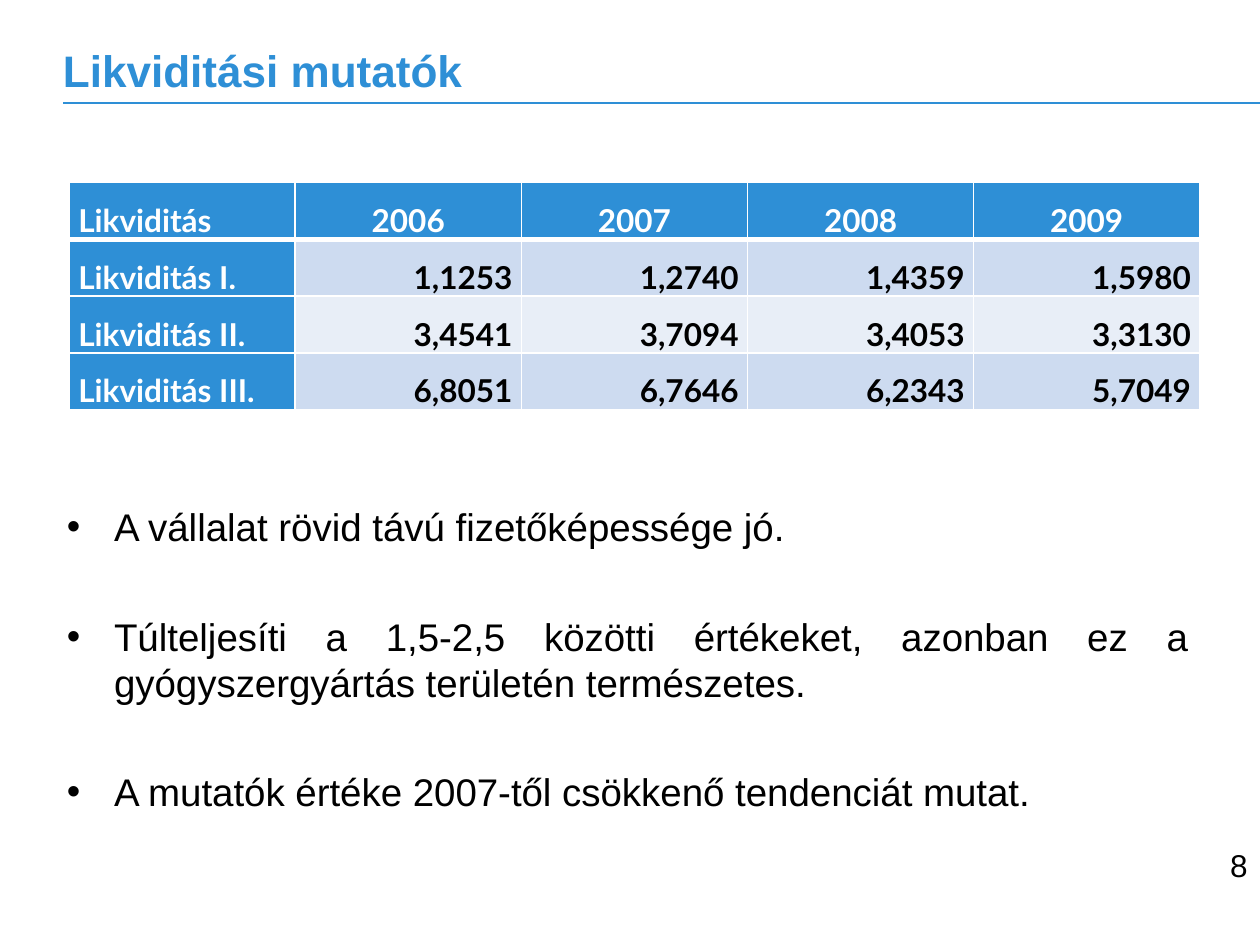
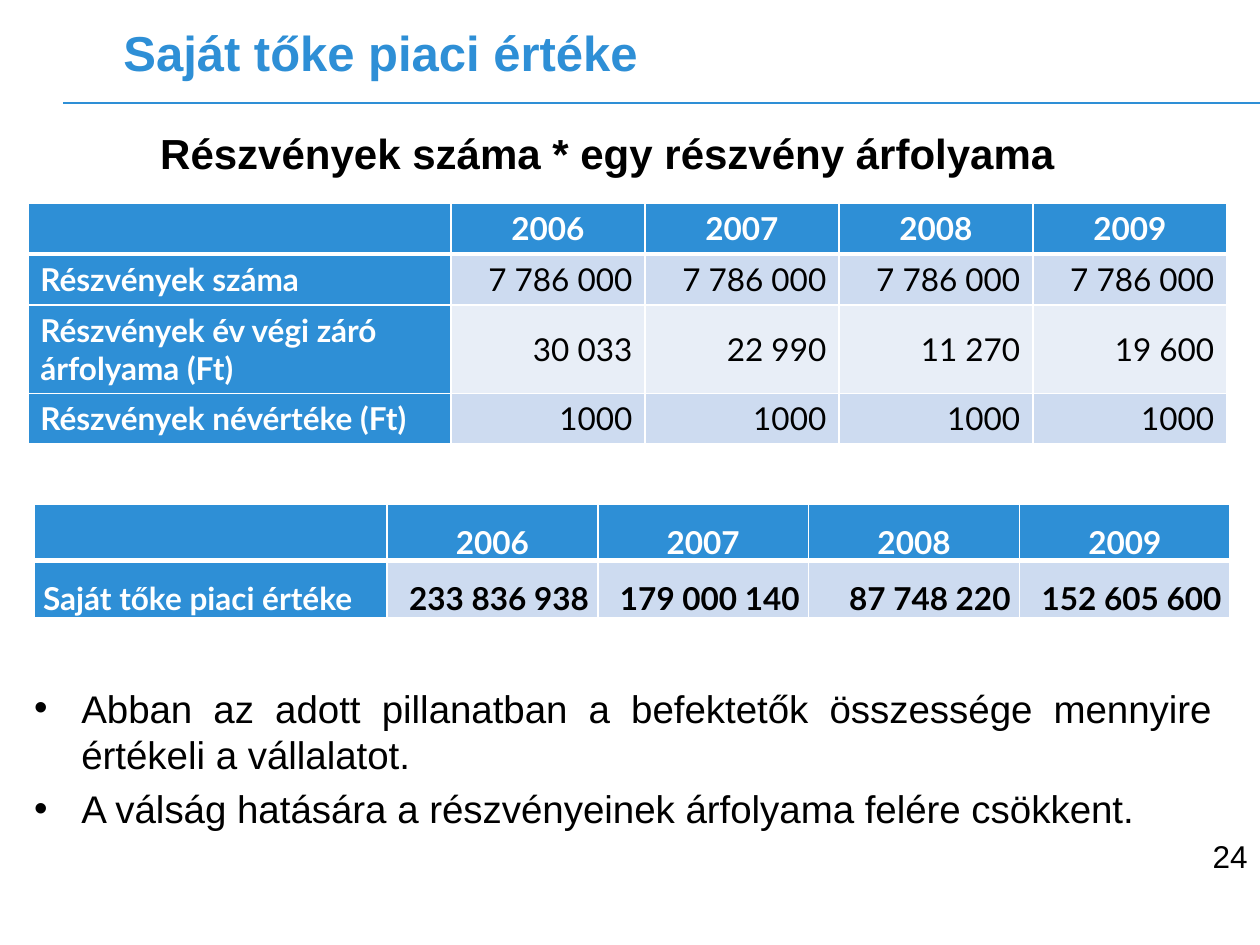
from dataclasses import dataclass

from lxml import etree
from pptx import Presentation
from pptx.dml.color import RGBColor
from pptx.enum.shapes import MSO_CONNECTOR
from pptx.enum.text import MSO_ANCHOR, PP_ALIGN
from pptx.oxml.ns import qn
from pptx.util import Cm, Pt

LEFT, MID, RIGHT, JUST = PP_ALIGN.LEFT, PP_ALIGN.CENTER, PP_ALIGN.RIGHT, PP_ALIGN.JUSTIFY
TOP, MIDDLE = MSO_ANCHOR.TOP, MSO_ANCHOR.MIDDLE
STRAIGHT = MSO_CONNECTOR.STRAIGHT


@dataclass(frozen=True)
class Theme:
    blue: str = "2E8FD6"
    dark: str = "CDDBF0"
    light: str = "E8EEF7"
    white: str = "FFFFFF"
    black: str = "000000"
    font: str = "Arial"
    grid: str = "Lato"
    lead: float = 24
    body: float = 22
    small: float = 18
    thin: float = 1
    rule: float = 1.5
    thick: float = 3


THEME = Theme()
YEARS = ["2006", "2007", "2008", "2009"]


def style(par, size, color, bold=False, font=THEME.font):
    for run in par.runs:
        run.font.name = font
        run.font.size = Pt(size)
        run.font.bold = bold
        run.font.color.rgb = RGBColor.from_string(color)


def add_frame(slide, box, anchor=TOP, inset=(0, 0, 0, 0)):
    frame = slide.shapes.add_textbox(*map(Cm, box)).text_frame
    frame.word_wrap = True
    frame.vertical_anchor = anchor
    (frame.margin_left, frame.margin_top,
     frame.margin_right, frame.margin_bottom) = map(Cm, inset)
    return frame


def add_line(slide, box, text, size, color, bold=False, align=LEFT, **kind):
    """Add a text box that holds a single paragraph."""
    par = add_frame(slide, box, **kind).paragraphs[0]
    par.text = text
    par.alignment = align
    style(par, size, color, bold)


def add_base(deck, title, box, size, page, top):
    """Add a slide with its title, rule and page number."""
    slide = deck.slides.add_slide(deck.slide_layouts[6])
    rule = slide.shapes.add_connector(STRAIGHT, Cm(1.27), Cm(2.08), Cm(25.4), Cm(2.08))
    rule.line.color.rgb = RGBColor.from_string(THEME.blue)
    rule.line.width = Pt(THEME.rule)
    etree.SubElement(rule.element.spPr, qn("a:effectLst"))
    add_line(slide, box, title, size, THEME.blue, True, anchor=MIDDLE)
    add_line(slide, (19.48, top, 5.92, 0.8), page, THEME.small, THEME.black,
             align=RIGHT, inset=(0.25, 0.13, 0.25, 0.13))
    return slide


def add_list(slide, box, items, gap):
    """Add bullets; items are (text, alignment) pairs."""
    frame = add_frame(slide, box, inset=(0, 0, 0.25, 0.13))
    for i, (text, align) in enumerate(items):
        par = frame.add_paragraph() if i else frame.paragraphs[0]
        par.text = text
        par.alignment = align
        if i < len(items) - 1:
            par.space_after = Pt(gap)
        style(par, THEME.body, THEME.black)
        props = par._p.get_or_add_pPr()
        props.set("marL", str(Cm(0.95)))
        props.set("indent", str(-Cm(0.95)))
        etree.SubElement(props, qn("a:buFont"), typeface=THEME.font)
        etree.SubElement(props, qn("a:buChar"), char="•")


def add_edges(cell, top, bottom):
    props = cell._tc.get_or_add_tcPr()
    widths = {"lnL": THEME.thin, "lnR": THEME.thin, "lnT": top, "lnB": bottom}
    for i, (tag, width) in enumerate(widths.items()):
        edge = etree.Element(qn("a:" + tag), w=str(Pt(width)))
        fill = etree.SubElement(edge, qn("a:solidFill"))
        etree.SubElement(fill, qn("a:srgbClr"), val=THEME.white)
        props.insert(i, edge)


def fill_cell(cell, text, row, col, tight, bold):
    head = row == 0 or col == 0
    shade = THEME.blue if head else THEME.dark if row % 2 else THEME.light
    cell.fill.solid()
    cell.fill.fore_color.rgb = RGBColor.from_string(shade)
    cell.vertical_anchor = TOP if head else MIDDLE
    if tight:
        cell.margin_left = cell.margin_right = Cm(0.18)
        cell.margin_top = cell.margin_bottom = 0
    add_edges(cell, THEME.thick if row == 1 else THEME.thin,
              THEME.thick if row == 0 else THEME.thin)
    cell.text = text
    par = cell.text_frame.paragraphs[0]
    if col == 0:
        par.alignment = JUST if tight else LEFT
    else:
        par.alignment = MID if row == 0 else RIGHT
    if tight and text:
        par.line_spacing = 1.5
    style(par, THEME.small, THEME.white if head else THEME.black, head or bold, THEME.grid)


def add_grid(slide, place, widths, heights, rows, tight=True, bold=True):
    """Add a table; widths are those of the first and of every other column."""
    rest = len(YEARS)
    left, top = place
    size = widths[0] + rest * widths[1], sum(heights)
    table = slide.shapes.add_table(len(rows), rest + 1, *map(Cm, (left, top, *size))).table
    for i, col in enumerate(table.columns):
        col.width = Cm(widths[min(i, 1)])
    for r, (height, row) in enumerate(zip(heights, rows)):
        table.rows[r].height = Cm(height)
        for c, text in enumerate(row):
            fill_cell(table.cell(r, c), text, r, c, tight, bold)


def add_ratios(deck):
    slide = add_base(deck, "Likviditási mutatók", (1.27, 1.02, 22.86, 0.79), 25.2, "8", 16.92)
    add_grid(slide, (1.4, 3.68), (4.55, 4.56), [1.14] * 4, [
        ["Likviditás", *YEARS],
        ["Likviditás I.", "1,1253", "1,2740", "1,4359", "1,5980"],
        ["Likviditás II.", "3,4541", "3,7094", "3,4053", "3,3130"],
        ["Likviditás III.", "6,8051", "6,7646", "6,2343", "5,7049"],
    ])
    add_list(slide, (1.35, 10.15, 22.86, 7), [
        ("A vállalat rövid távú fizetőképessége jó.", LEFT),
        ("Túlteljesíti a 1,5-2,5 közötti értékeket, azonban ez a "
         "gyógyszergyártás területén természetes.", JUST),
        ("A mutatók értéke 2007-től csökkenő tendenciát mutat.", LEFT),
    ], 36)


def add_equity(deck):
    slide = add_base(deck, "Saját tőke piaci értéke", (2.49, 0.28, 22.91, 1.52), 28, "24", 16.74)
    add_line(slide, (3.23, 2.57, 21.2, 1.1), "Részvények száma * egy részvény árfolyama",
             THEME.lead, THEME.black, True)
    add_grid(slide, (0.56, 4.09), (8.53, 3.91), [1.03, 1.03, 1.78, 1.02], [
        ["", *YEARS],
        ["Részvények száma", *["7 786 000"] * 4],
        ["Részvények év végi záró árfolyama (Ft)", "30 033", "22 990", "11 270", "19 600"],
        ["Részvények névértéke (Ft)", *["1000"] * 4],
    ], tight=False, bold=False)
    add_grid(slide, (0.69, 10.16), (7.11, 4.25), [1.14] * 2, [
        ["", *YEARS],
        ["Saját tőke piaci értéke", "233 836 938", "179 000 140", "87 748 220", "152 605 600"],
    ])
    add_list(slide, (0.69, 13.8, 24, 3), [
        ("Abban az adott pillanatban a befektetők összessége mennyire "
         "értékeli a vállalatot.", JUST),
        ("A válság hatására a részvényeinek árfolyama felére csökkent.", JUST),
    ], 4.5)


def main():
    deck = Presentation()
    deck.slide_width, deck.slide_height = Cm(25.4), Cm(19.05)
    add_ratios(deck)
    add_equity(deck)
    deck.save("out.pptx")


if __name__ == "__main__":
    main()
